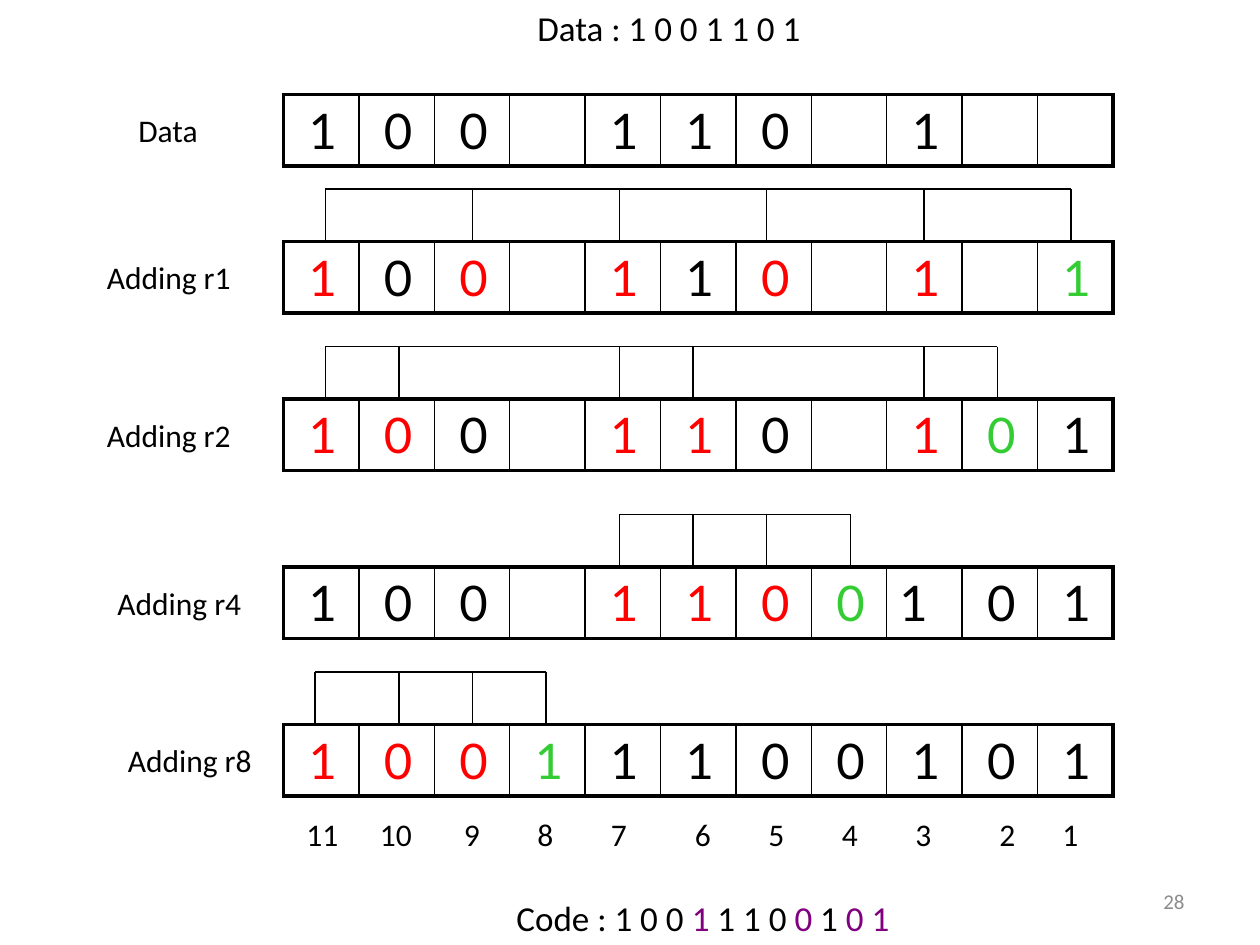
import pptx
import pptx.util
import pptx.dml.color
import pptx.enum.shapes
import pptx.enum.text
import pptx.oxml.ns
import lxml.etree
from dataclasses import dataclass

Color = pptx.dml.color.RGBColor
BLACK = Color(0, 0, 0)
RED = Color(0xFF, 0, 0)
GREEN = Color(0x33, 0xCC, 0x33)
PURPLE = Color(0x80, 0, 0x80)
GREY = Color(0x8C, 0x8C, 0x8C)
INKS = {"k": BLACK, "r": RED, "g": GREEN}

# Slide grid: 120 columns by 90 rows
COLS, ROWS = 120, 90
LEFT, WIDE, HIGH = 27, 79, 6.8
DROP = 5
TEXT_HIGH = 4.8
THIN, THICK = 1, 2.25


@dataclass
class Step:
    label: str
    label_col: float
    row: float
    bits: str           # one mark per cell, "_" for an empty cell
    inks: str           # one INKS key per cell
    ticks: tuple = ()   # columns of the bracket's legs
    flush: int = -1     # cell whose digit has no leading space


STEPS = [
    Step("Data", 12, 9, "100_110_1__", "kkkkkkkkkkk"),
    Step("Adding r1", 9, 23, "100_110_1_1", "rkrkrkrkrkg",
         (31, 45, 59, 73, 88, 102)),
    Step("Adding r2", 9, 38, "100_110_101", "rrkkrrkkrgk",
         (31, 38, 59, 66, 88, 95)),
    Step("Adding r4", 10, 54, "100_1100101", "kkkkrrrgkkk",
         (59, 66, 73, 81), 8),
    Step("Adding r8", 11, 69, "10011100101", "rrrgkkkkkkk",
         (30, 38, 45, 52)),
]
PLACES = (28, 35, 43, 50, 57, 65, 72, 79, 86, 94, 100)

deck = pptx.Presentation()
deck.slide_width = pptx.util.Inches(10)
deck.slide_height = pptx.util.Inches(7.5)
slide = deck.slides.add_slide(deck.slide_layouts[6])


def across(cols: float) -> int:
    return round(deck.slide_width * cols / COLS)


def down(rows: float) -> int:
    return round(deck.slide_height * rows / ROWS)


def add_run(para, text: str, size: float, ink, face: str = "Calibri") -> None:
    run = para.add_run()
    run.text = text
    run.font.size = pptx.util.Pt(size)
    run.font.name = face
    run.font.color.rgb = ink


def add_text(col: float, row: float, wide: float, high: float, size: float,
             parts: list, wrap: bool = True):
    box = slide.shapes.add_textbox(across(col), down(row), across(wide), down(high))
    frame = box.text_frame
    frame.word_wrap = wrap
    frame.auto_size = pptx.enum.text.MSO_AUTO_SIZE.SHAPE_TO_FIT_TEXT
    for text, ink in parts:
        add_run(frame.paragraphs[0], text, size, ink)
    return frame


def add_line(col: float, row: float, end_col: float, end_row: float) -> None:
    line = slide.shapes.add_connector(
        pptx.enum.shapes.MSO_CONNECTOR.STRAIGHT,
        across(col), down(row), across(end_col), down(end_row))
    line.line.color.rgb = BLACK
    line.line.width = pptx.util.Pt(0.75)
    lxml.etree.SubElement(line._element.spPr, pptx.oxml.ns.qn("a:effectLst"))


def add_edge(cell, side: str, width: float) -> None:
    tag = pptx.oxml.ns.qn
    edge = lxml.etree.SubElement(cell._tc.get_or_add_tcPr(), tag("a:ln" + side),
                                 w=str(pptx.util.Pt(width)))
    fill = lxml.etree.SubElement(edge, tag("a:solidFill"))
    lxml.etree.SubElement(fill, tag("a:srgbClr"), val=str(BLACK))


def add_grid(step: Step) -> None:
    count = len(step.bits)
    table = slide.shapes.add_table(1, count, across(LEFT), down(step.row),
                                   across(WIDE), down(HIGH)).table
    table.first_row = table.horz_banding = False
    for i, (bit, ink) in enumerate(zip(step.bits, step.inks)):
        cell = table.cell(0, i)
        add_edge(cell, "L", THICK if i == 0 else THIN)
        add_edge(cell, "R", THICK if i == count - 1 else THIN)
        add_edge(cell, "T", THICK)
        add_edge(cell, "B", THICK)
        cell.fill.background()
        if bit != "_":
            text = bit if i == step.flush else " " + bit
            add_run(cell.text_frame.paragraphs[0], text, 28, INKS[ink], "Lato")


def add_comb(step: Step) -> None:
    top = step.row - DROP
    add_line(step.ticks[0], top, step.ticks[-1], top)
    for col in step.ticks:
        add_line(col, top, col, step.row)


# Heading and code word
add_text(50, 0, 36, 5.2, 20, [("Data : 1 0 0 1 1 0 1", BLACK)])
add_text(48, 84.8, 44, 5.2, 20, [
    ("Code : 1 0 0 ", BLACK), ("1", PURPLE), (" 1 1 0 ", BLACK),
    ("0", PURPLE), (" 1 ", BLACK), ("0 1", PURPLE)])

# Steps: label, bit cells and bracket over the checked bits
for step in STEPS:
    add_grid(step)
    add_text(step.label_col, step.row + 1, 18 if step.ticks else 12, TEXT_HIGH,
             18, [(step.label, BLACK)])
    if step.ticks:
        add_comb(step)

# Bit places, counted down from the left
for i, col in enumerate(PLACES):
    place = str(len(PLACES) - i)
    add_text(col, 77, 5.8 if len(place) > 1 else 4.1, TEXT_HIGH, 18,
             [(place, BLACK)], wrap=False)

# Slide number
frame = add_text(86, 83.4, 28, TEXT_HIGH, 12, [("28", GREY)])
frame.auto_size = pptx.enum.text.MSO_AUTO_SIZE.NONE
frame.vertical_anchor = pptx.enum.text.MSO_ANCHOR.MIDDLE
frame.paragraphs[0].alignment = pptx.enum.text.PP_ALIGN.RIGHT

deck.save("out.pptx")
